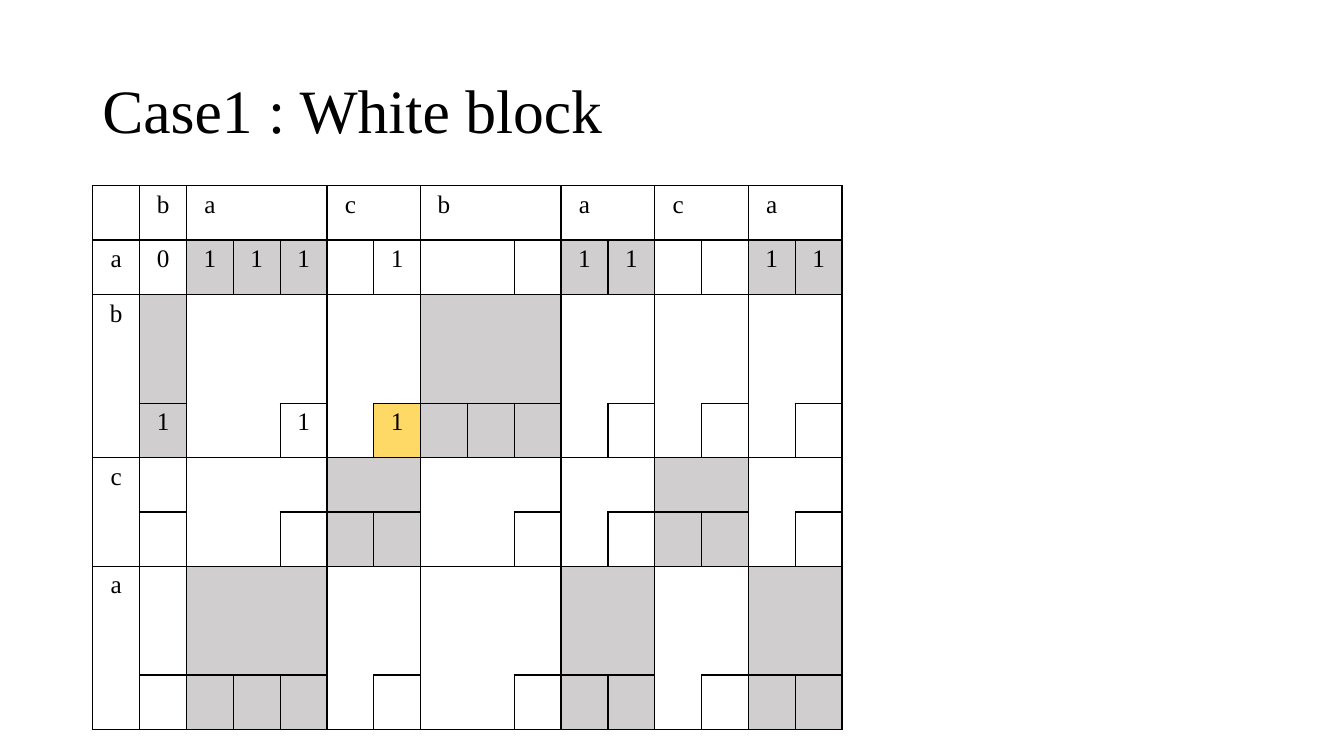
from lxml import etree
from pptx import Presentation
from pptx.dml.color import RGBColor
from pptx.enum.text import MSO_ANCHOR, PP_ALIGN
from pptx.oxml.ns import qn
from pptx.util import Cm, Pt

MIDDLE = MSO_ANCHOR.MIDDLE
CENTER = PP_ALIGN.CENTER
COLORS = {"ink": "000000", "match": "D0CECE", "focus": "FFD966"}
FONT = "Times New Roman"
COLUMN_WIDTH, ROW_HEIGHT = Cm(1.18), Cm(1.37)
BORDER_WIDTH = Pt(1)

# Each run is a letter and its length; the first one is the header.
ROW_RUNS = [("", 1), ("a", 1), ("b", 3), ("c", 2), ("a", 3)]
COLUMN_RUNS = [("", 1), ("b", 1), ("a", 3), ("c", 2), ("b", 3),
               ("a", 2), ("c", 2), ("a", 2)]
FOCUS_CELL = (4, 6)
VALUES = {(1, 1): "0", (4, 1): "1", (4, 4): "1", FOCUS_CELL: "1"}
VALUES.update({(1, column): "1" for column in (2, 3, 4, 6, 10, 11, 14, 15)})


def expand(runs):
    """Return letter, is-first and is-last for every position of the runs."""
    return [(letter, index == 0, index == length - 1)
            for letter, length in runs for index in range(length)]


def find_edges(rows, columns):
    """Collect the grid edges around blocks and around single boxed cells."""
    edges = set()
    for r, (row_letter, top, bottom) in enumerate(rows):
        for c, (column_letter, left, right) in enumerate(columns):
            in_grid = row_letter and column_letter
            boxed = in_grid and bottom and (right or row_letter == column_letter)
            sides = [(left, ("v", r, c)), (right, ("v", r, c + 1)),
                     (top, ("h", r, c)), (bottom, ("h", r + 1, c))]
            edges.update(edge for outer, edge in sides if outer or boxed)
    return edges


def write_text(para, text, size):
    span = para.add_run()
    span.text = text
    formats = {"name": FONT, "size": Pt(size)}
    for name, value in formats.items():
        setattr(span.font, name, value)
    span.font.color.rgb = RGBColor.from_string(COLORS["ink"])


def set_borders(cell, drawn):
    properties = cell._tc.get_or_add_tcPr()
    for side, visible in drawn.items():
        line = etree.SubElement(properties, qn(f"a:ln{side}"), w=str(BORDER_WIDTH))
        if visible:
            fill = etree.SubElement(line, qn("a:solidFill"))
            etree.SubElement(fill, qn("a:srgbClr"), val=COLORS["ink"])
        else:
            etree.SubElement(line, qn("a:noFill"))


def fill_cell(cell, color):
    if color:
        cell.fill.solid()
        cell.fill.fore_color.rgb = RGBColor.from_string(COLORS[color])
    else:
        cell.fill.background()


def add_title(page, text):
    box = page.shapes.add_textbox(Cm(2.33), Cm(1.01), Cm(29.21), Cm(3.68))
    frame = box.text_frame
    for name, value in {"word_wrap": True, "vertical_anchor": MIDDLE}.items():
        setattr(frame, name, value)
    para = frame.paragraphs[0]
    para.line_spacing = 0.9
    write_text(para, text, 44)


def add_block_table(page):
    rows, columns = expand(ROW_RUNS), expand(COLUMN_RUNS)
    edges = find_edges(rows, columns)
    table = page.shapes.add_table(
        len(rows), len(columns), Cm(2.34), Cm(4.68),
        COLUMN_WIDTH * len(columns), ROW_HEIGHT * len(rows)).table
    table.first_row = table.horz_banding = False
    for column in table.columns:
        column.width = COLUMN_WIDTH
    for row in table.rows:
        row.height = ROW_HEIGHT

    for r, (row_letter, top, _) in enumerate(rows):
        for c, (column_letter, left, _) in enumerate(columns):
            cell = table.cell(r, c)
            set_borders(cell, {"L": ("v", r, c) in edges,
                               "R": ("v", r, c + 1) in edges,
                               "T": ("h", r, c) in edges,
                               "B": ("h", r + 1, c) in edges})
            matches = row_letter and row_letter == column_letter
            focused = (r, c) == FOCUS_CELL
            fill_cell(cell, "focus" if focused else "match" if matches else None)

            text = VALUES.get((r, c), "")
            if r == 0 and left:
                text = column_letter
            elif c == 0 and top:
                text = row_letter
            if text:
                para = cell.text_frame.paragraphs[0]
                para.alignment = CENTER
                write_text(para, text, 18)


def main():
    deck = Presentation()
    deck.slide_width, deck.slide_height = Cm(33.87), Cm(19.05)
    page = deck.slides.add_slide(deck.slide_layouts[6])
    add_title(page, "Case1 : White block")
    add_block_table(page)
    deck.save("out.pptx")


if __name__ == "__main__":
    main()
